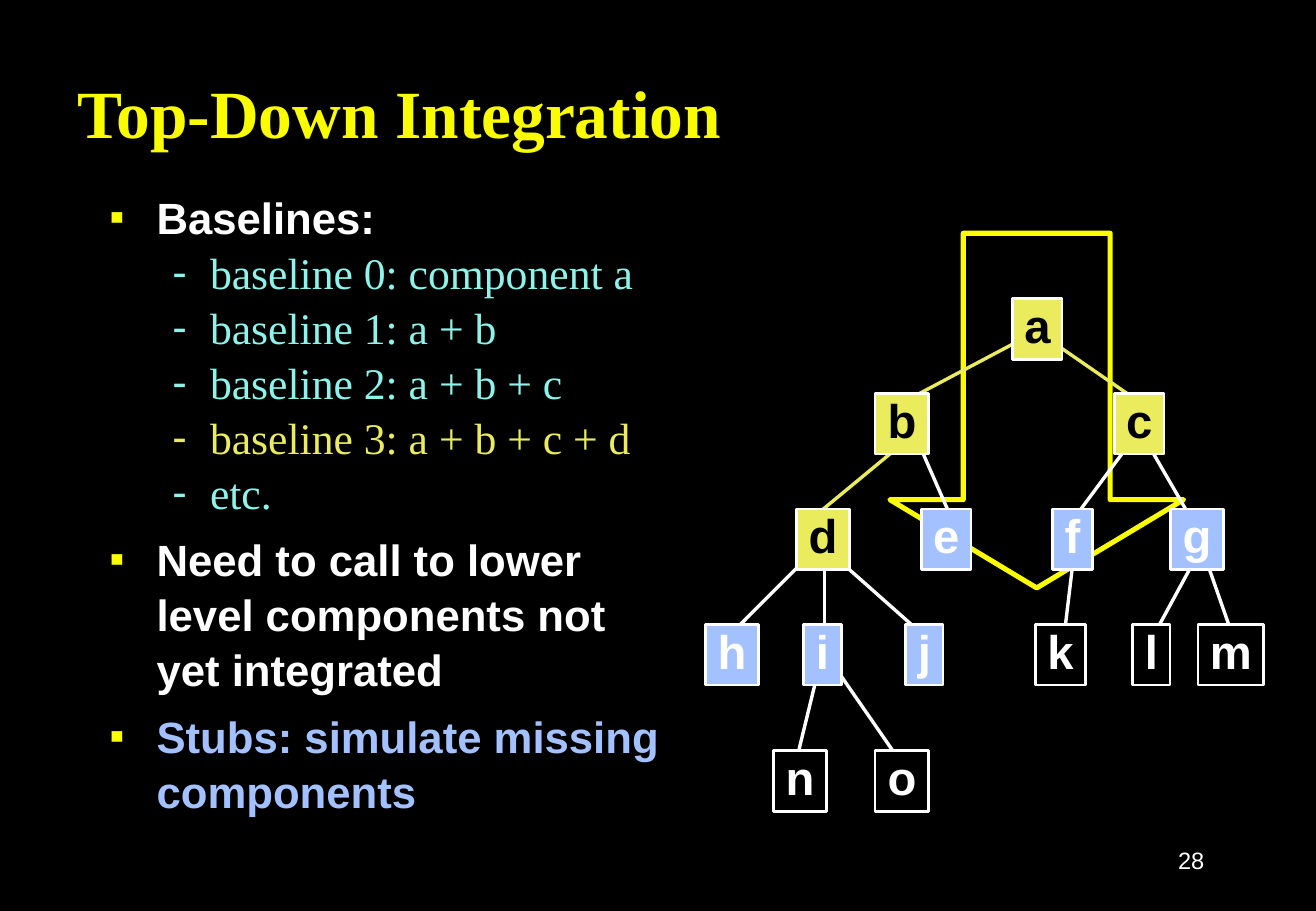
from dataclasses import dataclass

from lxml.etree import SubElement
from pptx import Presentation
from pptx.dml.color import RGBColor
from pptx.enum.shapes import MSO_CONNECTOR, MSO_SHAPE
from pptx.enum.text import MSO_ANCHOR, MSO_AUTO_SIZE, PP_ALIGN
from pptx.oxml.ns import qn
from pptx.util import Pt

EMU_PER_PX = 9144


@dataclass(frozen=True)
class Theme:
    """Colours, fonts and type sizes of the slide."""
    black: str = "000000"
    white: str = "FFFFFF"
    yellow: str = "FAFD00"
    integrated: str = "EAEC5E"
    stub: str = "A2C1FE"
    aqua: str = "8CF4EA"
    sans: str = "Arial"
    serif: str = "Times New Roman"
    title_size: float = 40
    body_size: float = 25.9
    label_size: float = 28
    number_size: float = 14


THEME = Theme()

BASELINES = [
    ("baseline 0: component a", THEME.aqua),
    ("baseline 1: a + b", THEME.aqua),
    ("baseline 2: a + b + c", THEME.aqua),
    ("baseline 3: a + b + c + d", THEME.integrated),
    ("etc.", THEME.aqua),
]

OUTLINE = [
    ("Baselines:", THEME.white, BASELINES),
    ("Need to call to lower\nlevel components not\nyet integrated", THEME.white, []),
    ("Stubs: simulate missing\ncomponents", THEME.stub, []),
]

LEVEL_TOPS = [246, 324, 419, 514, 618]
NODE_HEIGHT = 50
NODE_WIDTHS = {"ijl": 31, "f": 33, "acek": 41, "bdghno": 44, "m": 54}

NODE_LEFTS = [
    {"a": 834},
    {"b": 721, "c": 918},
    {"d": 656, "e": 759, "f": 867, "g": 964},
    {"h": 581, "i": 662, "j": 746, "k": 853, "l": 933, "m": 987},
    {"n": 637, "o": 721},
]

EDGES = {
    "ab": (848, 276, 746, 330), "ac": (859, 276, 940, 332),
    "bd": (740, 368, 671, 425), "be": (758, 368, 783, 425),
    "cf": (941, 351, 886, 425), "cg": (940, 356, 980, 425),
    "dh": (676, 448, 599, 525), "di": (679, 463, 679, 520),
    "dj": (693, 463, 763, 525), "fk": (885, 453, 877, 520),
    "gl": (983, 463, 952, 520), "gm": (990, 451, 1017, 528),
    "in": (677, 540, 656, 626), "io": (680, 538, 743, 629),
}

INTEGRATED = "abcd"
STUBS = "efghij"


def px(*lengths):
    """Turn px lengths into EMU."""
    return [length * EMU_PER_PX for length in lengths]


def apply(target, formats):
    """Set every attribute named in formats on target."""
    for name, setting in formats.items():
        setattr(target, name, setting)


def style_runs(paragraph, font, size, colour, bold=False):
    """Format all the runs of a paragraph."""
    for run in paragraph.runs:
        apply(run.font, {"name": font, "size": Pt(size), "bold": bold})
        run.font.color.rgb = RGBColor.from_string(colour)


def set_bullet(paragraph, char, colour, percent, margin, hang):
    """Give a paragraph a coloured bullet and a hanging indent."""
    props = paragraph._p.get_or_add_pPr()
    props.set("marL", str(margin * EMU_PER_PX))
    props.set("indent", str(-hang * EMU_PER_PX))
    SubElement(SubElement(props, qn("a:buClr")), qn("a:srgbClr"), val=colour)
    SubElement(props, qn("a:buSzPct"), val=str(percent * 1000))
    SubElement(props, qn("a:buFont"), typeface=THEME.sans)
    SubElement(props, qn("a:buChar"), char=char)


def place(placeholder, left, top, width, height):
    """Move a placeholder to its px box."""
    apply(placeholder, dict(zip(("left", "top", "width", "height"),
                                px(left, top, width, height))))


def fill_title(title):
    """Write the slide title."""
    place(title, 54, 58, 921, 67)
    apply(title.text_frame, {"text": "Top-Down Integration",
                             "auto_size": MSO_AUTO_SIZE.NONE,
                             "vertical_anchor": MSO_ANCHOR.MIDDLE})
    heading = title.text_frame.paragraphs[0]
    heading.alignment = PP_ALIGN.LEFT
    style_runs(heading, THEME.serif, THEME.title_size, THEME.yellow, True)


def add_item(frame, text, level, space):
    """Append one list paragraph to the body frame."""
    first = frame.paragraphs[0]
    item = frame.add_paragraph() if first.runs else first
    apply(item, {"text": text, "level": level, "line_spacing": 1.05,
                 "space_before": Pt(space)})
    return item


def fill_outline(body):
    """Write the bulleted points and their baselines."""
    place(body, 81, 150, 921, 517)
    frame = body.text_frame
    apply(frame, {"auto_size": MSO_AUTO_SIZE.NONE,
                  "vertical_anchor": MSO_ANCHOR.TOP})
    for text, colour, baselines in OUTLINE:
        point = add_item(frame, text, 0, 7)
        set_bullet(point, "■", THEME.yellow, 50, 38, 38)
        style_runs(point, THEME.sans, THEME.body_size, colour, True)
        for baseline, shade in baselines:
            step = add_item(frame, baseline, 1, 0)
            set_bullet(step, "-", shade, 100, 82, 31)
            style_runs(step, THEME.serif, THEME.body_size, shade)


def add_box(slide, preset, box, fill, line, weight):
    """Add a filled and outlined preset shape."""
    shape = slide.shapes.add_shape(preset, *px(*box))
    shape.shadow.inherit = False
    shape.fill.solid()
    shape.fill.fore_color.rgb = RGBColor.from_string(fill)
    shape.line.color.rgb = RGBColor.from_string(line)
    shape.line.width = Pt(weight)
    return shape


def add_direction_arrow(slide):
    """Add the large arrow behind the component tree."""
    arrow = add_box(slide, MSO_SHAPE.DOWN_ARROW, (733, 192, 242, 292),
                    THEME.black, THEME.yellow, 3)
    arrow.adjustments[0], arrow.adjustments[1] = 0.5, 0.3


def add_edge(slide, ends, colour):
    """Add a call line between two components."""
    edge = slide.shapes.add_connector(MSO_CONNECTOR.STRAIGHT, *px(*ends))
    edge.line.color.rgb = RGBColor.from_string(colour)
    edge.line.width = Pt(2)
    SubElement(edge._element.spPr, qn("a:effectLst"))


def add_node(slide, letter, left, top):
    """Add a component box coloured by its integration state."""
    width = next(w for letters, w in NODE_WIDTHS.items() if letter in letters)
    fill, ink = THEME.black, THEME.white
    if letter in INTEGRATED:
        fill, ink = THEME.integrated, THEME.black
    elif letter in STUBS:
        fill = THEME.stub
    node = add_box(slide, MSO_SHAPE.RECTANGLE, (left, top, width, NODE_HEIGHT),
                   fill, THEME.white, 1.5)
    apply(node.text_frame, {"text": letter, "word_wrap": False,
                            "vertical_anchor": MSO_ANCHOR.MIDDLE})
    label = node.text_frame.paragraphs[0]
    apply(label, {"alignment": PP_ALIGN.CENTER, "line_spacing": 0.85})
    style_runs(label, THEME.sans, THEME.label_size, ink, True)


def add_page_number(slide):
    """Add the slide number at the lower right."""
    corner = slide.shapes.add_textbox(*px(776, 683, 226, 50)).text_frame
    apply(corner, {"text": "28", "word_wrap": True,
                   "vertical_anchor": MSO_ANCHOR.MIDDLE})
    corner.paragraphs[0].alignment = PP_ALIGN.RIGHT
    style_runs(corner.paragraphs[0], THEME.sans, THEME.number_size, THEME.white)


def main():
    """Build and save the slide."""
    deck = Presentation()
    deck.slide_width, deck.slide_height = px(1084, 750)
    slide = deck.slides.add_slide(deck.slide_layouts[1])
    slide.background.fill.solid()
    slide.background.fill.fore_color.rgb = RGBColor.from_string(THEME.black)
    fill_title(slide.shapes.title)
    fill_outline(slide.placeholders[1])
    add_direction_arrow(slide)
    for pair, ends in EDGES.items():
        done = all(letter in INTEGRATED for letter in pair)
        add_edge(slide, ends, THEME.integrated if done else THEME.white)
    for top, row in zip(LEVEL_TOPS, NODE_LEFTS):
        for letter, left in row.items():
            add_node(slide, letter, left, top)
    add_page_number(slide)
    deck.save("out.pptx")


if __name__ == "__main__":
    main()
